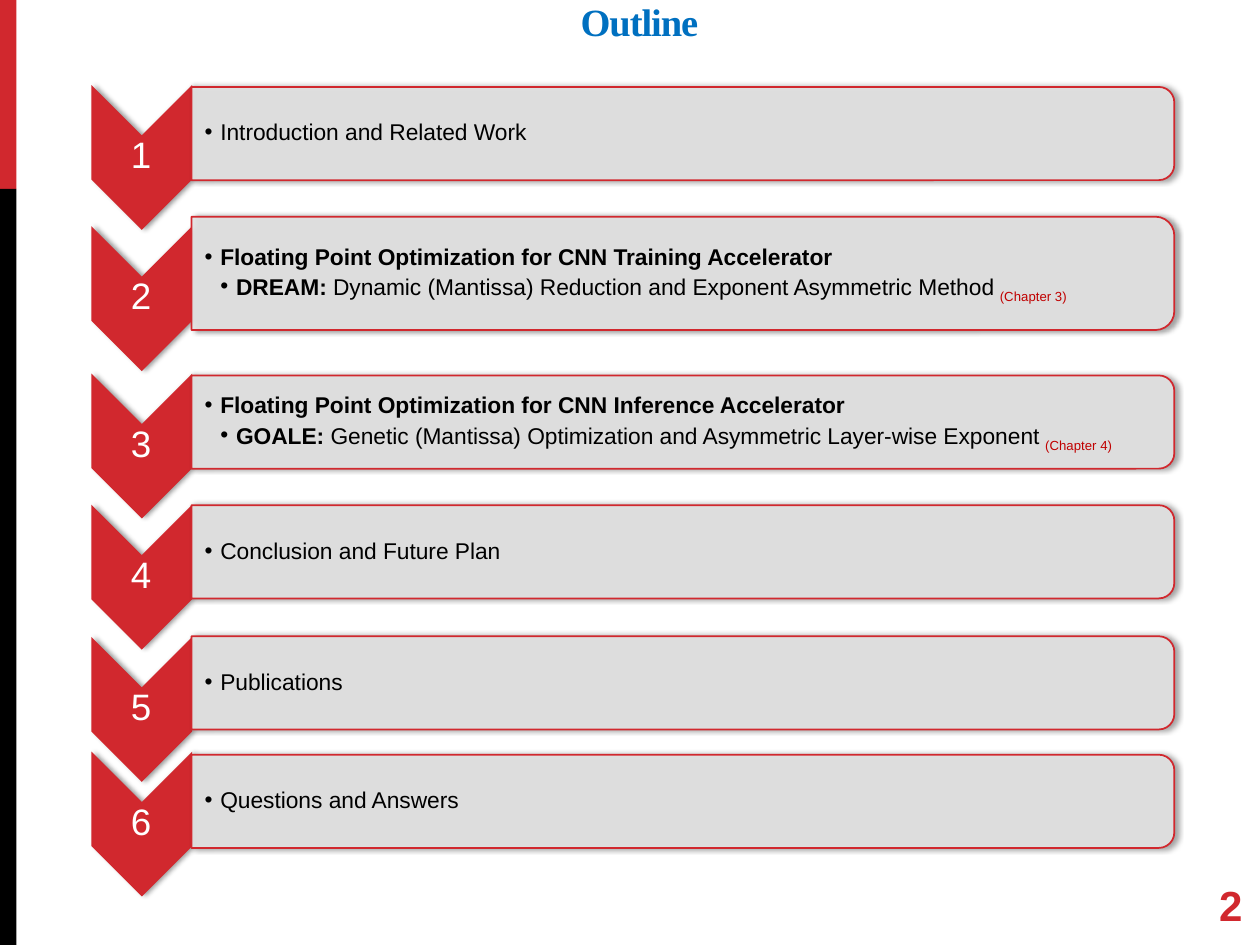
from lxml.etree import SubElement
from pptx import Presentation
from pptx.dml.color import RGBColor
from pptx.enum.shapes import MSO_SHAPE
from pptx.enum.text import MSO_ANCHOR, MSO_AUTO_SIZE, PP_ALIGN
from pptx.oxml.ns import qn
from pptx.util import Inches, Pt

RED, GRAY, BLACK, WHITE = "D1282E", "E4E4E4", "000000", "FFFFFF"
BLUE, NOTE = "0070C0", "C00000"


def color(code):
    """Turn a hex string into a colour."""
    return RGBColor.from_string(code)


def write(para, text, size=13, font="Arial", ink=BLACK, bold=False, **marks):
    """Add a run of text in the given format."""
    run = para.add_run()
    run.text = text
    run.font.size, run.font.name, run.font.bold = Pt(size), font, bold
    run.font.color.rgb = color(ink)
    for name, value in marks.items():
        run.font._element.set(name, str(value))


def space(para, after):
    """Set tight lines and a space after in percent of the line."""
    gap = SubElement(para._p.get_or_add_pPr(), qn("a:spcAft"))
    SubElement(gap, qn("a:spcPct"), val=str(after * 1000))
    para.line_spacing = 0.9


def bullet(para, level):
    """Give a paragraph a hanging bullet."""
    props = para._p.get_or_add_pPr()
    props.set("marL", str(Inches(0.125 * level)))
    props.set("indent", str(Inches(-0.125)))
    SubElement(props, qn("a:buFont"), typeface="Arial")
    SubElement(props, qn("a:buChar"), char="•")


def shade(shape):
    """Cast a soft shadow to the right."""
    effects = shape._element.spPr.find(qn("a:effectLst"))
    outer = SubElement(effects, qn("a:outerShdw"), blurRad=str(Pt(3.1)),
                       dist=str(Pt(1.8)), dir="0", rotWithShape="0")
    tint = SubElement(outer, qn("a:srgbClr"), val=BLACK)
    SubElement(tint, qn("a:alpha"), val="40000")


class Deck:
    """Hold the style and the current slide on a grid of 100 by 75 cells."""

    def __init__(self):
        """Start a deck with one title-only slide."""
        self.deck = Presentation()
        self.deck.slide_width, self.deck.slide_height = Inches(10), Inches(7.5)
        self.cell = self.deck.slide_width / 100
        self.slide = self.deck.slides.add_slide(self.deck.slide_layouts[5])

    def grid(self, *cells):
        """Turn grid cells into lengths."""
        return [round(self.cell * n) for n in cells]

    def title(self, text, *place):
        """Place and fill the title."""
        head = self.slide.shapes.title
        head.left, head.top, head.width, head.height = self.grid(*place)
        frame = head.text_frame
        frame.auto_size = MSO_AUTO_SIZE.NONE
        frame.vertical_anchor = MSO_ANCHOR.BOTTOM
        para = frame.paragraphs[0]
        para.alignment, para.line_spacing = PP_ALIGN.CENTER, 0.9
        write(para, text, 22, "Times New Roman", BLUE, True, spc=-60)

    def shape(self, kind, place, fill, line=None):
        """Add a filled preset shape."""
        item = self.slide.shapes.add_shape(kind, *self.grid(*place))
        item.shadow.inherit = False
        item.fill.solid()
        item.fill.fore_color.rgb = color(fill)
        if line:
            item.line.color.rgb = color(line)
            item.line.width = Pt(1)
        else:
            item.line.fill.background()
        return item

    def turned(self, kind, mid, row, long, thick, fill, line=None):
        """Add a shaded shape turned a quarter around its centre."""
        place = mid - thick / 2, row - long / 2, thick, long
        item = self.shape(kind, place, fill, line)
        item.rotation = 90
        shade(item)
        return item

    def box(self, *place, inset=None, left=None):
        """Add a wrapping text box centred in height."""
        frame = self.slide.shapes.add_textbox(*self.grid(*place)).text_frame
        frame.word_wrap = True
        frame.vertical_anchor = MSO_ANCHOR.MIDDLE
        if inset is not None:
            frame.margin_top = frame.margin_bottom = Inches(inset)
            frame.margin_left = frame.margin_right = Inches(inset)
        if left is not None:
            frame.margin_left = Inches(left)
        return frame

    def mark(self, number, row):
        """Add a numbered chevron that points down."""
        self.turned(MSO_SHAPE.CHEVRON, 11.25, row, 8, 11.5, RED)
        para = self.box(7.2, row - 1.75, 8, 3.4, inset=0.01).paragraphs[0]
        para.alignment = PP_ALIGN.CENTER
        space(para, 35)
        write(para, str(number), 21, ink=WHITE)

    def bar(self, row, high, lines):
        """Add a bar with its bulleted lines."""
        item = self.turned(MSO_SHAPE.ROUND_2_SAME_RECTANGLE, 54.2, row, 78,
                           high, GRAY, RED)
        tint = item._element.spPr.find(qn("a:solidFill"))[0]
        SubElement(tint, qn("a:alpha"), val="90000")
        tall = high * 0.9
        frame = self.box(15.25, row - tall / 2, 77.6, tall,
                         inset=0.01, left=0.1)
        for level, runs in enumerate(lines, 1):
            para = frame.paragraphs[0] if level == 1 else frame.add_paragraph()
            para.level = level
            space(para, 15)
            bullet(para, level)
            for text, form in runs:
                write(para, text, **form)

    def page(self, number, *place):
        """Add the page number."""
        para = self.box(*place).paragraphs[0]
        para.alignment = PP_ALIGN.RIGHT
        write(para, str(number), 24, ink=RED, bold=True)


def topic(head, name, text, part):
    """Build the two lines of a chapter topic."""
    bold = {"bold": True}
    note = {"ink": NOTE, "baseline": -25000}
    return [[(head, bold)], [(name, bold), (text, {}), (part, note)]]


def plain(text):
    """Build a single plain line."""
    return [[(text, {})]]


def main():
    """Build the outline slide."""
    deck = Deck()
    deck.shape(MSO_SHAPE.RECTANGLE, (0, 0, 1.3, 15), RED)
    deck.shape(MSO_SHAPE.RECTANGLE, (0, 15, 1.3, 60), BLACK)
    deck.page(2, 85.2, 69.8, 14.4, 4)
    deck.title("Outline", 1.5, 0.1, 98.5, 4)
    train = topic("Floating Point Optimization for CNN Training Accelerator",
                  "DREAM: ", "Dynamic (Mantissa) Reduction and Exponent "
                  "Asymmetric Method ", "(Chapter 3)")
    infer = topic("Floating Point Optimization for CNN Inference Accelerator",
                  "GOALE: ", "Genetic (Mantissa) Optimization and Asymmetric "
                  "Layer-wise Exponent ", "(Chapter 4)")
    steps = [
        (12.5, 10.6, 7.4, plain("Introduction and Related Work")),
        (23.7, 21.7, 9, train),
        (35.4, 33.5, 7.4, infer),
        (45.8, 43.8, 7.4, plain("Conclusion and Future Plan")),
        (56.3, 54.2, 7.4, plain("Publications")),
        (65.4, 63.6, 7.4, plain("Questions and Answers")),
    ]
    for number, (tip, row, high, lines) in enumerate(steps, 1):
        deck.mark(number, tip)
        deck.bar(row, high, lines)
    deck.deck.save("out.pptx")


if __name__ == "__main__":
    main()
